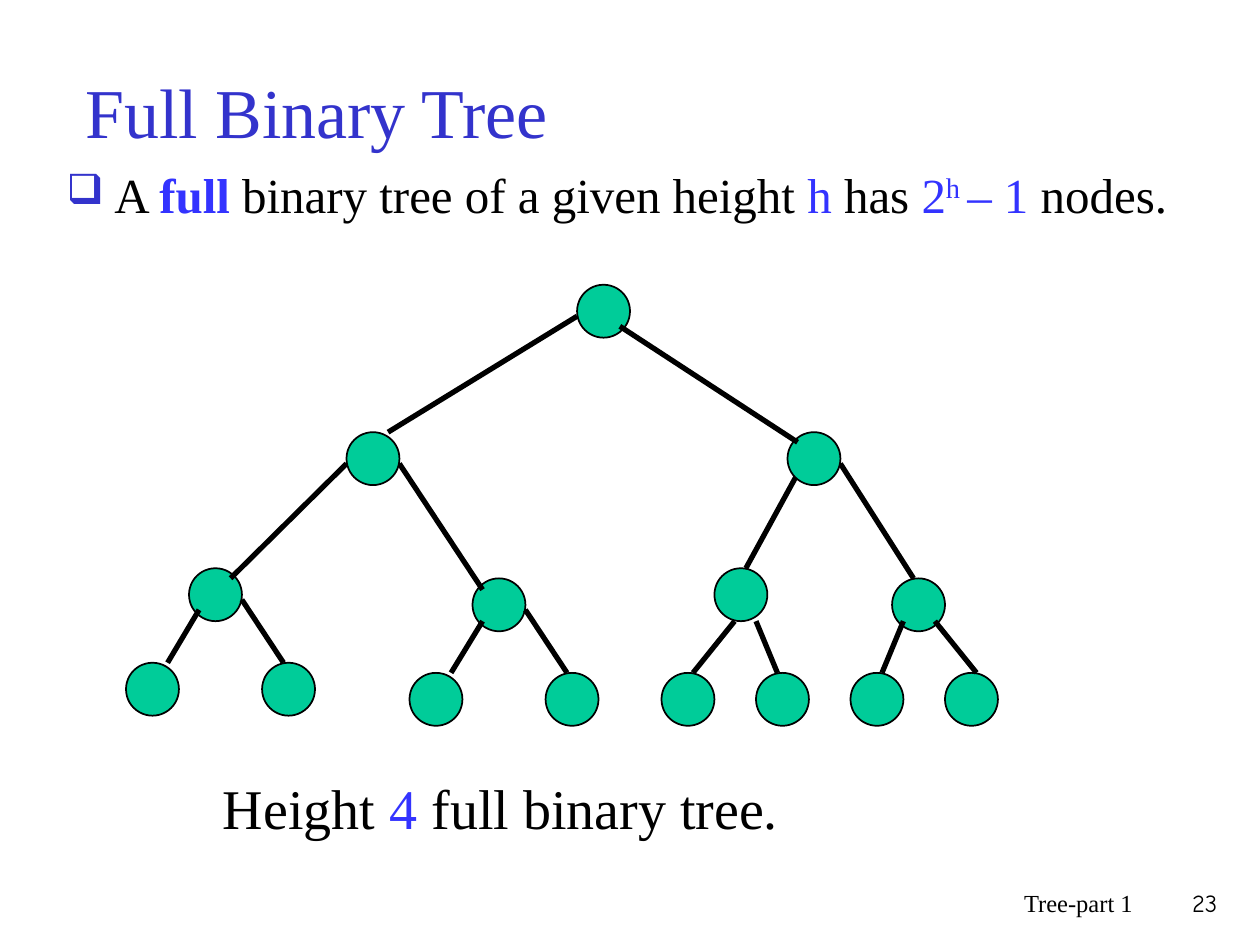
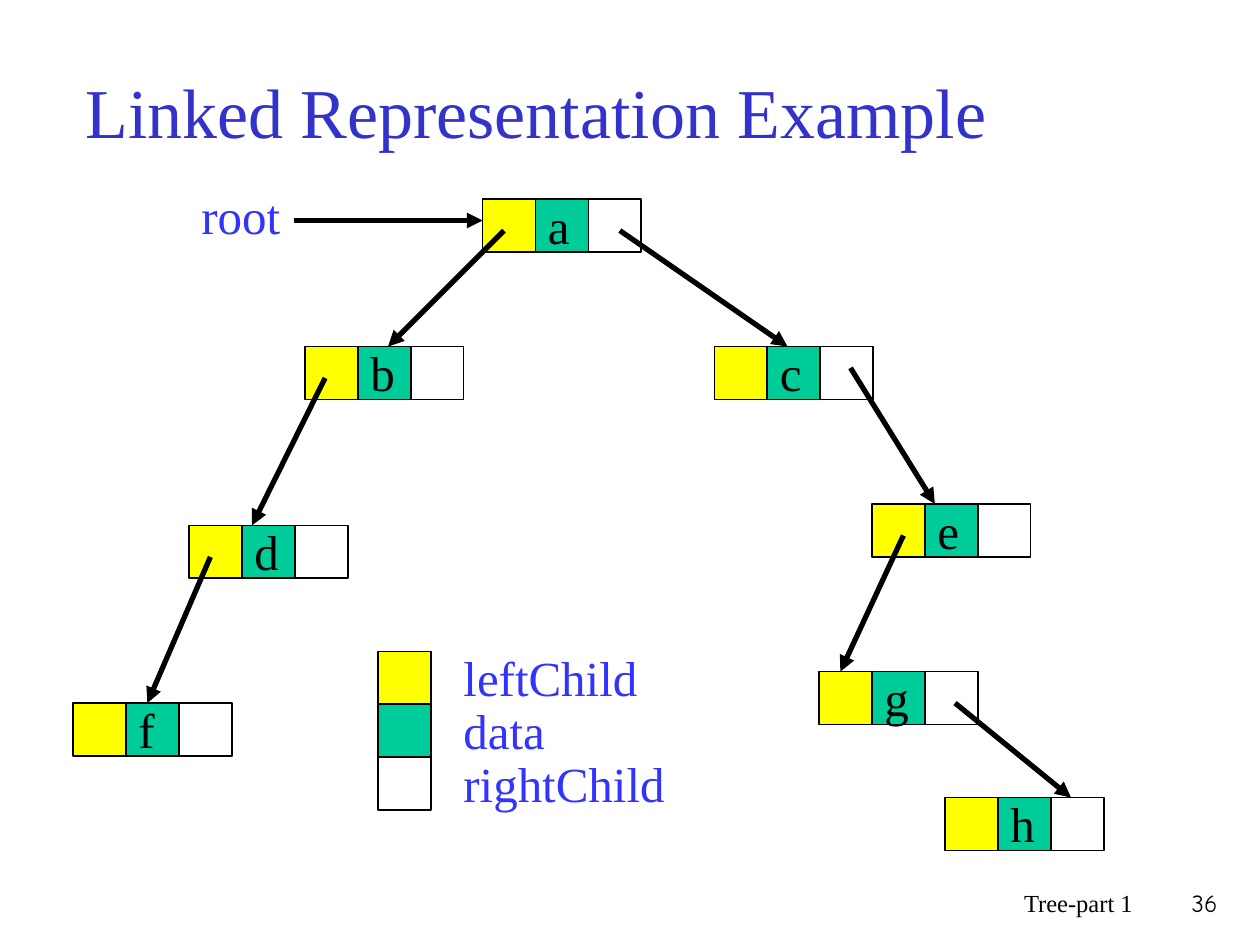
from dataclasses import dataclass

from lxml.etree import SubElement
from pptx import Presentation
from pptx.dml.color import RGBColor
from pptx.enum.shapes import MSO_CONNECTOR, MSO_SHAPE
from pptx.enum.text import MSO_ANCHOR, PP_ALIGN
from pptx.oxml.ns import qn
from pptx.util import Inches, Pt

COLORS = {
    "title": "3333CC", "accent": "3333FF", "text": "000000",
    "green": "00CC99", "yellow": "FFFF00", "white": "FFFFFF",
}
SERIF, PAGE_FONT = "Times New Roman", "Comic Neue"
CELL = 0.42
FIELDS = [("leftChild", "yellow"), ("data", "green"), ("rightChild", "white")]


@dataclass(frozen=True)
class Run:
    text: str
    color: str = "text"
    bold: bool = False
    superscript: bool = False


@dataclass(frozen=True)
class Edge:
    x1: float
    y1: float
    x2: float
    y2: float


@dataclass(frozen=True)
class Tier:
    """Circles, given by left and top, and the edges drawn over them."""
    nodes: list[tuple[float, float]]
    edges: list[Edge]


@dataclass(frozen=True)
class LinkedNode:
    letter: str
    left: float
    top: float


TREE_TIERS = [
    Tier([(1.5, 4.51), (3.75, 4.59), (5.67, 4.51), (7.08, 4.59)],
         [Edge(6.33, 3.76, 5.92, 4.51), Edge(6.67, 3.68, 7.25, 4.59),
          Edge(2.75, 3.68, 1.83, 4.59), Edge(3.17, 3.68, 3.83, 4.68)]),
    Tier([(4.58, 2.26), (6.25, 3.43), (2.75, 3.43)],
         [Edge(4.58, 2.51, 3.08, 3.43), Edge(4.92, 2.59, 6.33, 3.51)]),
    Tier([(1, 5.26), (2.08, 5.26), (3.25, 5.34), (4.33, 5.34)]
         + [(5.25 + 0.75 * i, 5.34) for i in range(4)],
         [Edge(1.58, 4.84, 1.33, 5.26), Edge(1.92, 4.76, 2.25, 5.26),
          Edge(3.83, 4.93, 3.58, 5.34), Edge(4.17, 4.84, 4.5, 5.34),
          Edge(5.83, 4.93, 5.5, 5.34), Edge(6, 4.93, 6.17, 5.34),
          Edge(7.17, 4.93, 7, 5.34), Edge(7.42, 4.93, 7.75, 5.34)]),
]

LINKED_NODES = [
    LinkedNode("a", 3.83, 1.58), LinkedNode("c", 5.67, 2.75),
    LinkedNode("b", 2.42, 2.75), LinkedNode("d", 1.5, 4.17),
    LinkedNode("f", 0.58, 5.58), LinkedNode("e", 6.92, 4),
    LinkedNode("g", 6.5, 5.33), LinkedNode("h", 7.5, 6.33),
]
CHILD_POINTERS = [
    Edge(4, 1.83, 3.08, 2.75), Edge(4.92, 1.83, 6.25, 2.75),
    Edge(2.58, 3, 2, 4.17), Edge(1.67, 4.42, 1.17, 5.58),
    Edge(6.75, 2.92, 7.42, 4), Edge(7.17, 4.25, 6.67, 5.33),
    Edge(7.58, 5.58, 8.5, 6.33),
]
ROOT_POINTER = Edge(2.33, 1.75, 3.83, 1.75)


def rgb(name: str) -> RGBColor:
    return RGBColor.from_string(COLORS[name])


def add_text(shapes, left: float, top: float, width: float, height: float,
             runs: list[Run], size: int, font: str = SERIF,
             align=PP_ALIGN.LEFT, anchor=MSO_ANCHOR.TOP):
    """Add a one-paragraph text box and return its paragraph."""
    box = shapes.add_textbox(Inches(left), Inches(top), Inches(width), Inches(height))
    tf = box.text_frame
    tf.word_wrap, tf.vertical_anchor = True, anchor
    p = tf.paragraphs[0]
    p.alignment = align
    for run in runs:
        r = p.add_run()
        r.text = run.text
        for name, value in {"name": font, "size": Pt(size), "bold": run.bold}.items():
            setattr(r.font, name, value)
        r.font.color.rgb = rgb(run.color)
        if run.superscript:
            r.font._element.set("baseline", "30000")
    return p


def add_bullet(p) -> None:
    pPr = p._p.get_or_add_pPr()
    indent = Inches(0.38)
    pPr.set("marL", str(indent))
    pPr.set("indent", str(-indent))
    color = SubElement(pPr, qn("a:buClr"))
    SubElement(color, qn("a:srgbClr"), val=COLORS["title"])
    SubElement(pPr, qn("a:buSzPct"), val="85000")
    SubElement(pPr, qn("a:buChar"), char="❑")
    p.line_spacing = 0.9


def add_cell(shapes, kind: MSO_SHAPE, left: float, top: float, fill: str) -> None:
    sp = shapes.add_shape(kind, Inches(left), Inches(top), Inches(CELL), Inches(CELL))
    sp.shadow.inherit = False
    sp.fill.solid()
    sp.fill.fore_color.rgb = rgb(fill)
    sp.line.color.rgb = rgb("text")
    sp.line.width = Pt(1)


def add_edge(shapes, edge: Edge, arrow: bool = False) -> None:
    line = shapes.add_connector(MSO_CONNECTOR.STRAIGHT, Inches(edge.x1), Inches(edge.y1),
                                Inches(edge.x2), Inches(edge.y2))
    line.line.color.rgb = rgb("text")
    line.line.width = Pt(3)
    if arrow:
        SubElement(line.line._get_or_add_ln(), qn("a:tailEnd"), type="triangle")
    SubElement(line._element.spPr, qn("a:effectLst"))


def add_linked_node(shapes, node: LinkedNode) -> None:
    for i, (_, fill) in enumerate(FIELDS):
        add_cell(shapes, MSO_SHAPE.RECTANGLE, node.left + i * CELL, node.top, fill)
    add_text(shapes, node.left + CELL, node.top - 0.08, CELL, 0.57, [Run(node.letter)], 28)


def add_base_slide(prs, title: str, number: int):
    """Add a blank slide with the shared title and footer."""
    s = prs.slides.add_slide(prs.slide_layouts[6])
    add_text(s.shapes, 0.58, 0.25, 8.5, 1.25, [Run(title, "title")], 40,
             anchor=MSO_ANCHOR.MIDDLE)
    add_text(s.shapes, 5.92, 7, 3.17, 0.5, [Run("Tree-part 1")], 14, align=PP_ALIGN.RIGHT)
    add_text(s.shapes, 9.08, 7, 0.68, 0.5, [Run(str(number))], 14, PAGE_FONT,
             PP_ALIGN.RIGHT)
    return s


def build_full_tree(prs) -> None:
    s = add_base_slide(prs, "Full Binary Tree", 23)
    p = add_text(s.shapes, 0.43, 1.31, 9.08, 1.08, [
        Run("A "), Run("full", "accent", bold=True),
        Run(" binary tree of a given height "), Run("h", "accent"), Run(" has "),
        Run("2", "accent"), Run("h ", "accent", superscript=True),
        Run("– 1 ", "accent"), Run("nodes."),
    ], 28)
    add_bullet(p)
    tree = s.shapes.add_group_shape().shapes
    for tier in TREE_TIERS:
        for left, top in tier.nodes:
            add_cell(tree, MSO_SHAPE.OVAL, left, top, "green")
        for edge in tier.edges:
            add_edge(tree, edge)
    add_text(tree, 1.67, 6.09, 7.17, 0.63,
             [Run("Height "), Run("4", "accent"), Run(" full binary tree.")], 32)


def build_linked_example(prs) -> None:
    s = add_base_slide(prs, "Linked Representation Example", 36)
    for node in LINKED_NODES:
        add_linked_node(s.shapes.add_group_shape().shapes, node)
    for pointer in CHILD_POINTERS + [ROOT_POINTER]:
        add_edge(s.shapes, pointer, arrow=True)
    for i, (label, fill) in enumerate(FIELDS):
        top = 5.17 + i * CELL
        add_cell(s.shapes, MSO_SHAPE.RECTANGLE, 3, top, fill)
        add_text(s.shapes, 3.58, top - 0.08, 2.92, 0.57, [Run(label, "accent")], 28)
    add_text(s.shapes, 1.5, 1.42, 1, 0.57, [Run("root", "accent")], 28)


def main() -> None:
    prs = Presentation()
    prs.slide_width, prs.slide_height = Inches(10), Inches(7.5)
    build_full_tree(prs)
    build_linked_example(prs)
    prs.save("out.pptx")


if __name__ == "__main__":
    main()
